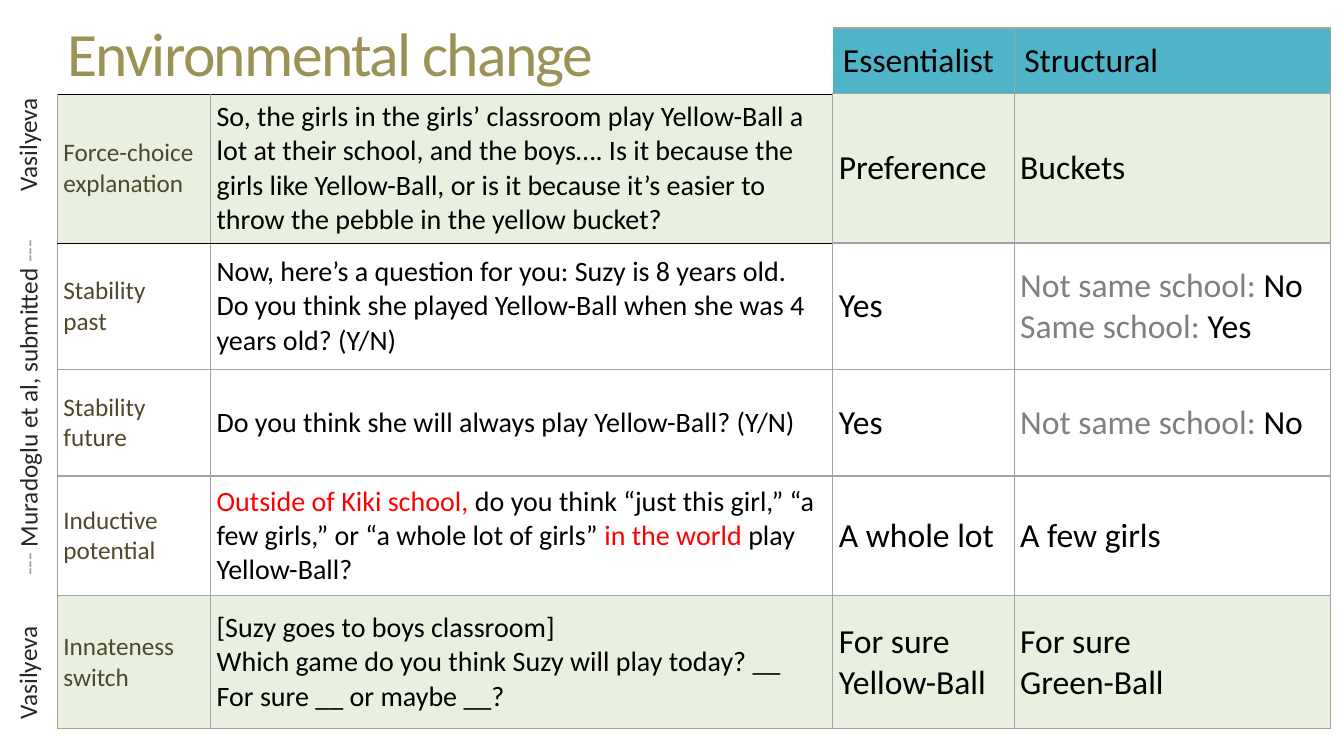
from dataclasses import dataclass
from typing import NamedTuple

from lxml import etree
from pptx import Presentation
from pptx.dml.color import RGBColor
from pptx.enum.text import MSO_ANCHOR, MSO_AUTO_SIZE, PP_ALIGN
from pptx.oxml.ns import qn
from pptx.util import Pt

MIDDLE = MSO_ANCHOR.MIDDLE
NO_AUTOFIT = MSO_AUTO_SIZE.NONE
LEFT, CENTER, RIGHT = PP_ALIGN.LEFT, PP_ALIGN.CENTER, PP_ALIGN.RIGHT

BLACK = RGBColor(0x00, 0x00, 0x00)
WHITE = RGBColor(0xFF, 0xFF, 0xFF)
RED = RGBColor(0xFF, 0x00, 0x00)
GREY = RGBColor(0x80, 0x80, 0x80)
DASH_GREY = RGBColor(0xA6, 0xA6, 0xA6)
BORDER_GREY = RGBColor(0xA3, 0xA3, 0xA3)
CREDIT_INK = RGBColor(0x26, 0x26, 0x26)
OLIVE = RGBColor(0x4E, 0x49, 0x2B)
GOLD = RGBColor(0x9B, 0x92, 0x56)
TEAL = RGBColor(0x50, 0xB4, 0xC8)
PALE_GREEN = RGBColor(0xEA, 0xF0, 0xE0)

FONT = "Calibri"
TITLE_ONLY = 5
COLUMN_WIDTHS = (109.5, 444.5, 129.5, 226)
COLUMN_SIZES = (18, 20, 24, 24)
COLUMN_COLOURS = (OLIVE, BLACK, BLACK, BLACK)
CELL_INSET = 4.3


class Run(NamedTuple):
    text: str
    colour: RGBColor | None = None


Paragraphs = tuple[tuple[Run, ...], ...]


def plain(*lines: str) -> Paragraphs:
    return tuple((Run(line),) for line in lines)


@dataclass(frozen=True)
class Row:
    height: float
    fill: RGBColor
    cells: tuple[Paragraphs, ...]


@dataclass(frozen=True)
class Credit:
    left: float
    top: float
    width: float
    height: float
    align: PP_ALIGN
    content: Paragraphs


ROWS = (
    Row(47, TEAL, ((), (), plain("Essentialist"), plain("Structural"))),
    Row(106, PALE_GREEN, (
        plain("Force-choice explanation"),
        plain("So, the girls in the girls’ classroom play Yellow-Ball a lot at their "
              "school, and the boys…. Is it because the girls like Yellow-Ball, or is it "
              "because it’s easier to throw the pebble in the yellow bucket?"),
        plain("Preference"),
        plain("Buckets"),
    )),
    Row(90.5, WHITE, (
        plain("Stability \npast"),
        plain("Now, here’s a question for you: Suzy is 8 years old.",
              "Do you think she played Yellow-Ball when she was 4 years old? (Y/N)"),
        plain("Yes"),
        ((Run("Not same school: ", GREY), Run("No\n"),
          Run("Same school: ", GREY), Run("Yes")),),
    )),
    Row(76, WHITE, (
        plain("Stability future"),
        plain("Do you think she will always play Yellow-Ball? (Y/N)"),
        plain("Yes"),
        ((Run("Not same school: ", GREY), Run("No")),),
    )),
    Row(85.5, WHITE, (
        plain("Inductive potential"),
        ((Run("Outside of Kiki school, ", RED),
          Run("do you think “just this girl,” “a few girls,” or “a whole lot of girls” "),
          Run("in the world ", RED), Run("play Yellow-Ball?")),),
        plain("A whole lot"),
        plain("A few girls"),
    )),
    Row(95, PALE_GREEN, (
        plain("Innateness switch"),
        plain("[Suzy goes to boys classroom]",
              "Which game do you think Suzy will play today? __ \nFor sure __ or maybe __?"),
        plain("For sure Yellow-Ball"),
        plain("For sure \nGreen-Ball"),
    )),
)

CREDITS = (
    Credit(-120.2, 293, 285, 27.4, RIGHT,
           ((Run("--- ", DASH_GREY), Run("Muradoglu et al, submitted "),
             Run("---", DASH_GREY)),)),
    Credit(-40.3, 468, 122.4, 25.2, CENTER, plain("Vasilyeva")),
    Credit(-40.3, 90.7, 122.4, 25.2, CENTER, plain("Vasilyeva")),
)


def write(frame, content: Paragraphs, *, size: float, colour: RGBColor,
          align: PP_ALIGN = LEFT, line_spacing: float = 1.0,
          space_before: float = 0, tracking: float = 0) -> None:
    for index, runs in enumerate(content):
        paragraph = frame.add_paragraph() if index else frame.paragraphs[0]
        paragraph.alignment = align
        paragraph.line_spacing = line_spacing
        paragraph.space_before = Pt(space_before)
        for part in runs:
            for line_number, line in enumerate(part.text.split("\n")):
                if line_number:
                    paragraph.add_line_break()
                if not line:
                    continue
                run = paragraph.add_run()
                run.text = line
                run.font.name = FONT
                run.font.size = Pt(size)
                run.font.color.rgb = part.colour or colour
                if tracking:
                    run._r.get_or_add_rPr().set("spc", str(round(tracking * 100)))


def edge_style(row: int, column: int, side: str) -> tuple[RGBColor, float] | None:
    upper_edge = {"T": row, "B": row + 1}.get(side)
    if column < 2 and upper_edge in (1, 2):
        return BLACK, 0.25
    if row == 0 and (column < 2 or (column == 2 and side == "L")):
        return None
    return BORDER_GREY, 1


def draw_borders(cell, row: int, column: int) -> None:
    properties = cell._tc.get_or_add_tcPr()
    for index, side in enumerate("LRTB"):
        line = etree.Element(qn(f"a:ln{side}"))
        style = edge_style(row, column, side)
        if style is None:
            etree.SubElement(line, qn("a:noFill"))
        else:
            colour, width = style
            line.set("w", str(int(Pt(width))))
            fill = etree.SubElement(line, qn("a:solidFill"))
            etree.SubElement(fill, qn("a:srgbClr"), val=str(colour))
        properties.insert(index, line)


def draw_table(slide) -> None:
    table = slide.shapes.add_table(
        len(ROWS), len(COLUMN_WIDTHS), Pt(41), Pt(20),
        Pt(sum(COLUMN_WIDTHS)), Pt(sum(row.height for row in ROWS))).table
    table.first_row = False
    table.horz_banding = False
    for column, width in zip(table.columns, COLUMN_WIDTHS):
        column.width = Pt(width)
    for row_index, row in enumerate(ROWS):
        table.rows[row_index].height = Pt(row.height)
        for column_index, content in enumerate(row.cells):
            cell = table.cell(row_index, column_index)
            cell.vertical_anchor = MIDDLE
            if row_index:
                cell.margin_left = cell.margin_right = Pt(CELL_INSET)
                cell.margin_top = cell.margin_bottom = Pt(CELL_INSET)
            if content:
                cell.fill.solid()
                cell.fill.fore_color.rgb = row.fill
            else:
                cell.fill.background()
            write(cell.text_frame, content, size=COLUMN_SIZES[column_index],
                  colour=COLUMN_COLOURS[column_index])
            draw_borders(cell, row_index, column_index)


def draw_title(slide) -> None:
    title = slide.shapes.title
    title.left, title.top, title.width, title.height = Pt(41), Pt(-24), Pt(848), Pt(130.5)
    frame = title.text_frame
    frame.auto_size = NO_AUTOFIT
    frame.vertical_anchor = MIDDLE
    write(frame, plain("Environmental change"), size=44, colour=GOLD,
          line_spacing=0.85, tracking=-1.2)


def draw_credit(slide, credit: Credit) -> None:
    box = slide.shapes.add_textbox(
        Pt(credit.left), Pt(credit.top), Pt(credit.width), Pt(credit.height))
    box.rotation = 270
    box.text_frame.word_wrap = True
    write(box.text_frame, credit.content, size=18, colour=CREDIT_INK,
          align=credit.align, line_spacing=0.85, space_before=13)


def main() -> None:
    deck = Presentation()
    deck.slide_width, deck.slide_height = Pt(960), Pt(540)
    slide = deck.slides.add_slide(deck.slide_layouts[TITLE_ONLY])
    draw_table(slide)
    draw_title(slide)
    for credit in CREDITS:
        draw_credit(slide, credit)
    deck.save("out.pptx")


if __name__ == "__main__":
    main()
